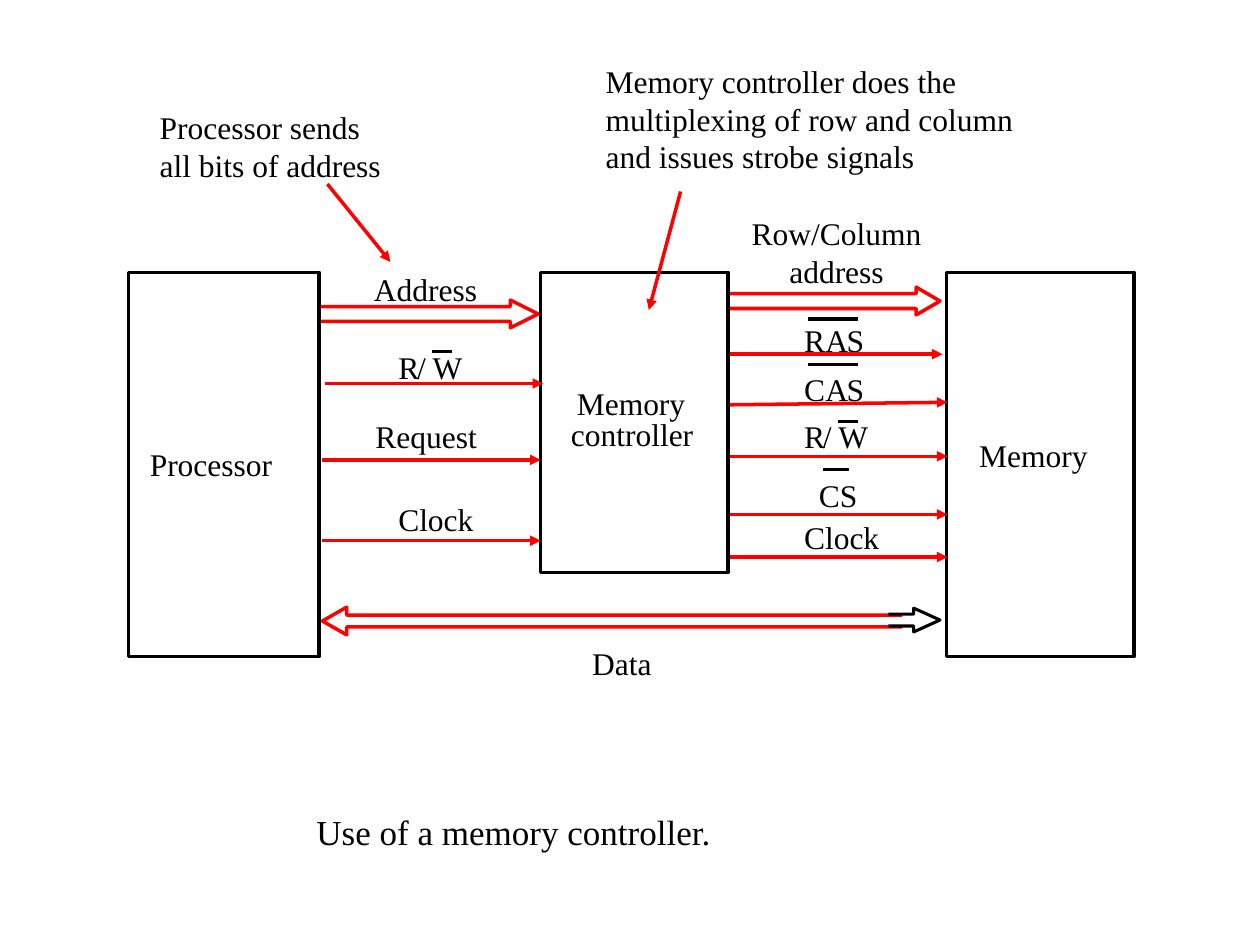
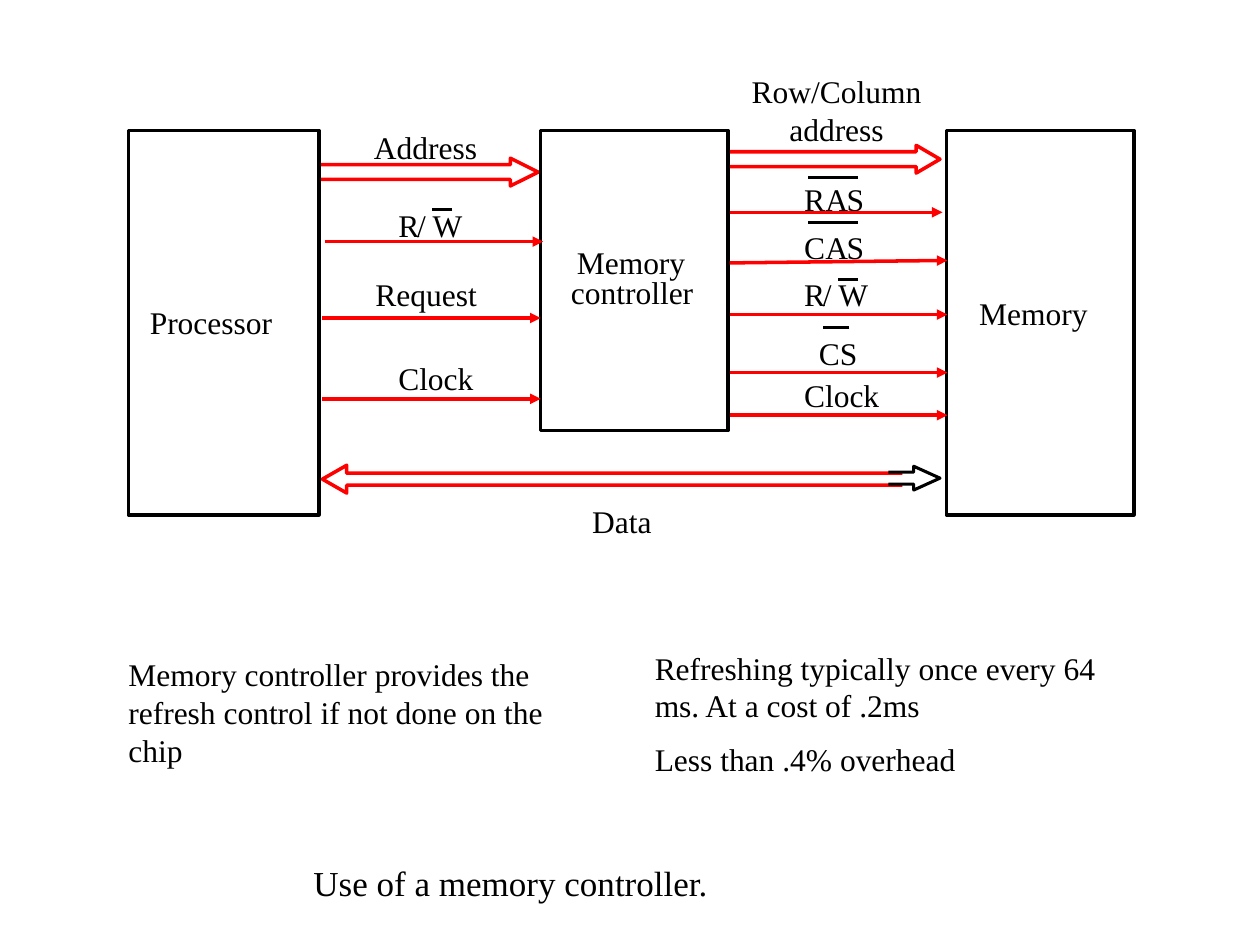
"""Build two slides on the use of a memory controller."""
import dataclasses
import typing

import lxml.etree
import pptx
import pptx.dml.color
import pptx.enum.shapes
import pptx.enum.text
import pptx.oxml.ns
import pptx.util

Cm = pptx.util.Cm
INK = {"black": "000000", "red": "FF0000"}
FONT = "Times New Roman"
ROW = 0.76


@dataclasses.dataclass
class Box:
    left: float
    width: float
    height: float


@dataclasses.dataclass
class Label:
    text: str
    left: float
    top: float
    width: float


@dataclasses.dataclass
class Glyphs:
    text: str
    left: float
    top: float
    steps: tuple[float, ...]
    widths: tuple[float, ...]


@dataclasses.dataclass
class Line:
    x1: float
    y1: float
    x2: float
    y2: float


@dataclasses.dataclass
class Block:
    tail: float
    neck: float
    tip: float
    axis: float
    shaft: float = 0.15
    head: float = 0.28
    ink: str = "red"
    weight: float = 2


@dataclasses.dataclass
class Note:
    paras: list[str]
    left: float
    top: float
    width: float
    height: float = 2.54


@dataclasses.dataclass
class Page:
    top: float
    title: Label
    notes: list[Note]
    hints: list[Line]


BOXES = [Box(2.59, 3.84, 7.75), Box(19.08, 3.78, 7.75), Box(10.9, 3.78, 6.05)]

BLOCKS = [
    Block(14.68, 18.47, 18.95, 0.58),
    Block(18.19, 6.99, 6.5, 7.03, shaft=0.12),
    Block(17.91, 18.42, 18.95, 7.01, shaft=0.12, head=0.24, ink="black", weight=1.75),
    Block(6.45, 10.29, 10.85, 0.84),
]

LABELS = [
    Label("Processor", 3.02, 3.48, 2.84),
    Label("Memory", 11.63, 2.26, 2.29),
    Label("controller", 11.51, 2.87, 2.62),
    Label("Memory", 19.74, 3.3, 2.29),
    Label("Address", 7.54, -0.05, 2.34),
    Label("Request", 7.57, 2.92, 2.36),
    Label("Clock", 8.03, 4.6, 1.57),
    Label("CS", 16.51, 4.11, 0.89),
    Label("Clock", 16.21, 4.95, 1.57),
    Label("Data", 11.94, 7.49, 1.35),
]

EVEN = ((0, 0.43, 0.86), (0.46, 0.43, 0.43))
SLASH = ((0, 0.38, 0.69), (0.46, 0.18, 0.61))
GLYPHS = [
    Glyphs("RAS", 16.21, 0.99, *EVEN),
    Glyphs("CAS", 16.21, 1.96, *EVEN),
    Glyphs("R/W", 16.21, 2.92, *SLASH),
    Glyphs("R/W", 8.03, 1.52, *SLASH),
]

BARS = [
    Line(17.3, 0.94, 16.28, 0.94),
    Line(17.3, 1.85, 16.28, 1.85),
    Line(17.3, 3, 16.89, 3),
    Line(9.12, 1.6, 8.71, 1.6),
    Line(17.12, 3.97, 16.59, 3.97),
]

WIRES = [
    Line(6.5, 5.41, 10.9, 5.41),
    Line(6.5, 3.78, 10.9, 3.78),
    Line(6.55, 2.24, 10.95, 2.24),
    Line(14.71, 1.65, 19, 1.65),
    Line(14.71, 2.67, 19.1, 2.62),
    Line(14.71, 3.71, 19.1, 3.71),
    Line(14.71, 4.88, 19.1, 4.88),
    Line(14.71, 5.74, 19.1, 5.74),
]

CAPTION = "Use of a memory controller."
PAGES = [
    Page(
        5.49,
        Label(CAPTION, 6.38, 16.33, 8),
        [
            Note(["Processor sends all bits of address"], 2.97, 2.06, 5.13),
            Note(["Memory controller does the multiplexing of row and column "
                  "and issues strobe signals"], 11.96, 1.12, 9.68),
        ],
        [Line(6.6, 3.71, 7.87, 5.28), Line(13.72, 3.86, 13.08, 6.25)],
    ),
    Page(
        2.63,
        Label(CAPTION, 6.32, 17.37, 8),
        [
            Note(["Memory controller provides the refresh control "
                  "if not done on the chip"], 2.34, 13.08, 9.19),
            Note(["Refreshing typically once every 64 ms. At a cost of .2ms",
                  "Less than .4% overhead"], 12.95, 12.95, 9.68, 2.92),
        ],
        [],
    ),
]


def paint(name: str) -> pptx.dml.color.RGBColor:
    return pptx.dml.color.RGBColor.from_string(INK[name])


def write(slide: typing.Any, paras: list[str], left: float, top: float, width: float,
          height: float = ROW, *, size: float = 18, wrap: bool = False,
          inset: bool = False, center: bool = False) -> None:
    box = slide.shapes.add_textbox(Cm(left), Cm(top), Cm(width), Cm(height))
    frame = box.text_frame
    frame.word_wrap = wrap
    frame.auto_size = pptx.enum.text.MSO_AUTO_SIZE.SHAPE_TO_FIT_TEXT
    if not inset:
        frame.margin_left = frame.margin_right = 0
        frame.margin_top = frame.margin_bottom = 0
    for index, text in enumerate(paras):
        para = frame.add_paragraph() if index else frame.paragraphs[0]
        if index:
            para.space_before = pptx.util.Pt(size / 2)
        if center:
            para.alignment = pptx.enum.text.PP_ALIGN.CENTER
        run = para.add_run()
        run.text = text
        run.font.name = FONT
        run.font.size = pptx.util.Pt(size)
        run.font.color.rgb = paint("black")


def trace(shape: typing.Any, ink: str, weight: float) -> None:
    shape.shadow.inherit = False
    shape.fill.background()
    shape.line.color.rgb = paint(ink)
    shape.line.width = pptx.util.Pt(weight)


def rule(slide: typing.Any, line: Line, top: float, ink: str, weight: float,
         arrow: bool = False) -> None:
    wire = slide.shapes.add_connector(
        pptx.enum.shapes.MSO_CONNECTOR.STRAIGHT,
        Cm(line.x1), Cm(line.y1 + top), Cm(line.x2), Cm(line.y2 + top))
    wire.line.color.rgb = paint(ink)
    wire.line.width = pptx.util.Pt(weight)
    name = pptx.oxml.ns.qn
    if arrow:
        end = lxml.etree.SubElement(wire.line._get_or_add_ln(), name("a:tailEnd"))
        end.set("type", "triangle")
    lxml.etree.SubElement(wire._element.spPr, name("a:effectLst"))


def point(slide: typing.Any, block: Block, top: float) -> None:
    axis = block.axis + top
    spots = [
        (block.tail, axis + block.shaft),
        (block.neck, axis + block.shaft),
        (block.neck, axis + block.head),
        (block.tip, axis),
        (block.neck, axis - block.head),
        (block.neck, axis - block.shaft),
        (block.tail, axis - block.shaft),
    ]
    first, *rest = [(Cm(x), Cm(y)) for x, y in spots]
    build = slide.shapes.build_freeform(*first, scale=1.0)
    build.add_line_segments(rest, close=False)
    trace(build.convert_to_shape(), block.ink, block.weight)


def chart(slide: typing.Any, top: float) -> None:
    for block in BLOCKS:
        point(slide, block, top)
    for label in LABELS:
        write(slide, [label.text], label.left, label.top + top, label.width)
    for word in GLYPHS:
        for char, step, width in zip(word.text, word.steps, word.widths):
            write(slide, [char], word.left + step, word.top + top, width)
    write(slide, ["Row/Column address"], 14.73, top - 1.17, 4.27, 2 * ROW,
          wrap=True, center=True)
    for bar in BARS:
        rule(slide, bar, top, "black", 1.75)
    for box in BOXES:
        shape = slide.shapes.add_shape(
            pptx.enum.shapes.MSO_SHAPE.RECTANGLE,
            Cm(box.left), Cm(top), Cm(box.width), Cm(box.height))
        trace(shape, "black", 2)
    for wire in WIRES:
        rule(slide, wire, top, "red", 2, arrow=True)


def main() -> None:
    deck = pptx.Presentation()
    deck.slide_width, deck.slide_height = Cm(25.4), Cm(19.05)
    for page in PAGES:
        slide = deck.slides.add_slide(deck.slide_layouts[6])
        chart(slide, page.top)
        title = page.title
        write(slide, [title.text], title.left, title.top, title.width, 0.86, size=20)
        for note in page.notes:
            write(slide, note.paras, note.left, note.top, note.width, note.height,
                  wrap=True, inset=True)
        for hint in page.hints:
            rule(slide, hint, 0, "red", 2, arrow=True)
    deck.save("out.pptx")


if __name__ == "__main__":
    main()
